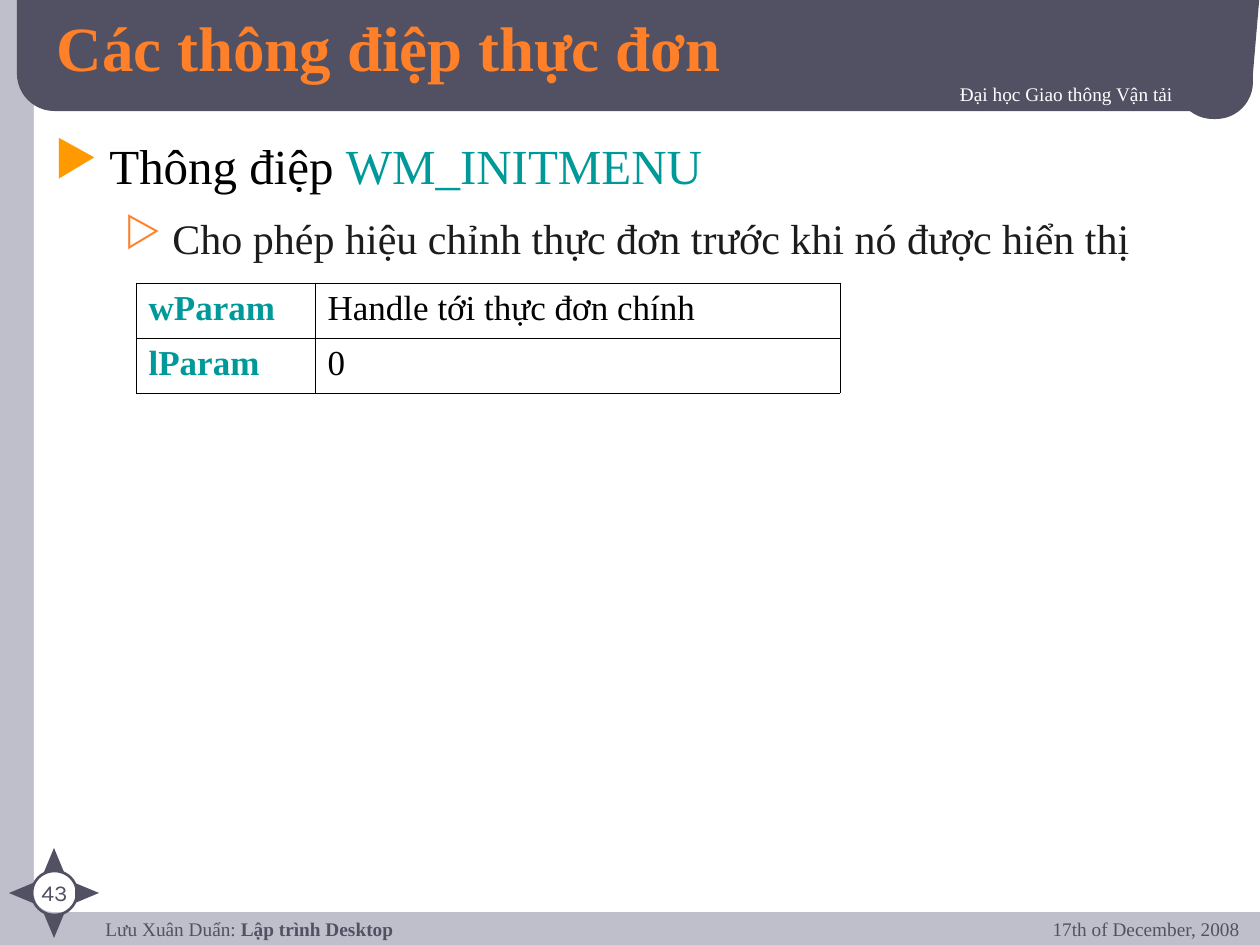
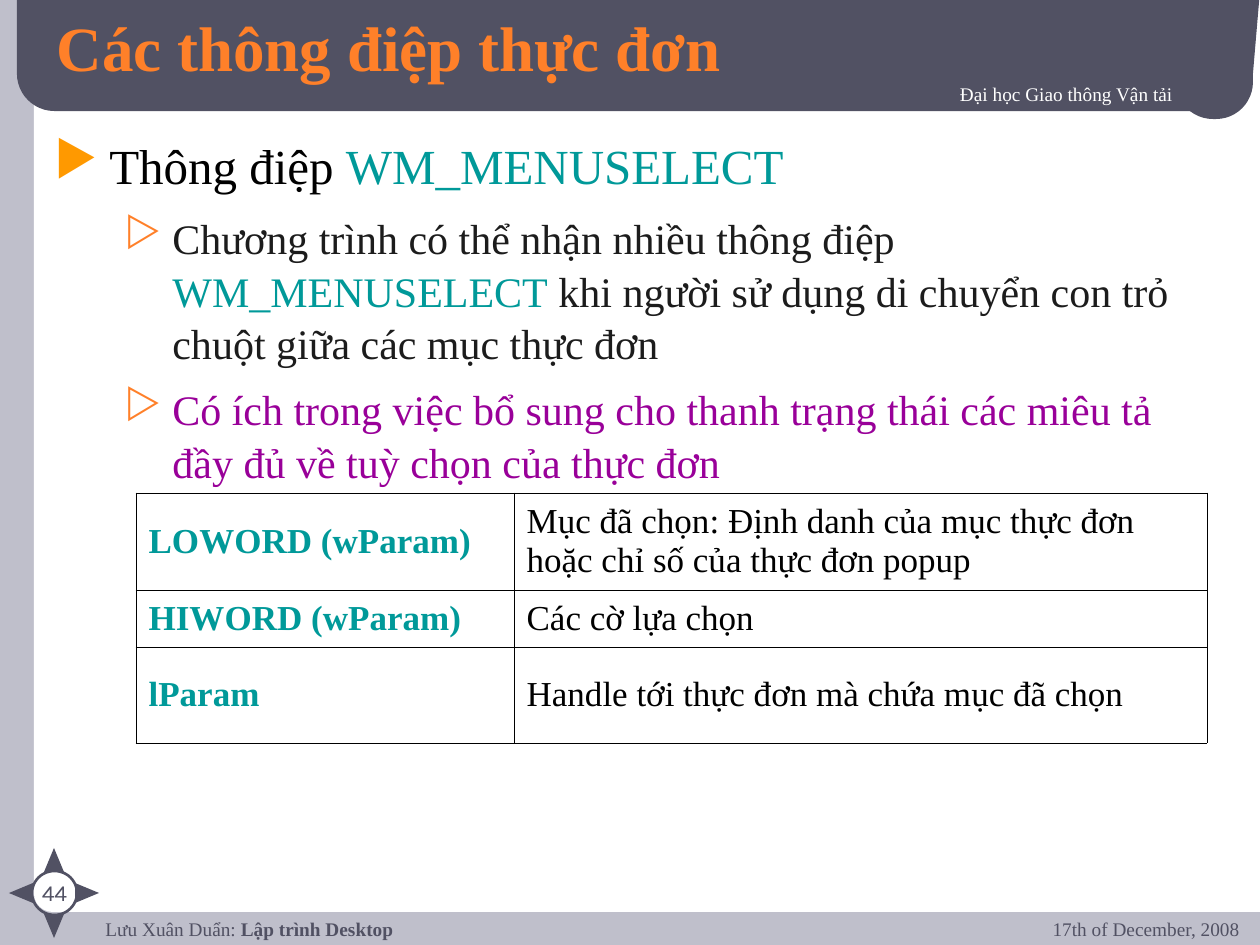
"""Build two slides on menu messages, with a shared frame."""
from dataclasses import dataclass

from lxml.etree import SubElement
from pptx import Presentation
from pptx.dml.color import RGBColor
from pptx.enum.shapes import MSO_SHAPE
from pptx.enum.text import MSO_ANCHOR, PP_ALIGN
from pptx.oxml import parse_xml
from pptx.oxml.ns import nsdecls, qn
from pptx.util import Pt

SCALE = 914400 / 126
TITLE = "Các thông điệp thực đơn"
SCHOOL = "Đại học Giao thông Vận tải"
AUTHOR = "Lưu Xuân Duẩn: "
COURSE = "Lập trình Desktop"
DATE = "17th of December, 2008"


@dataclass(frozen=True)
class Theme:
    """Colours, fonts and type sizes of the deck."""
    back: str = "BFBFCB"
    page: str = "FFFFFF"
    band: str = "515163"
    title: str = "FF8029"
    arrow: str = "FF9900"
    code: str = "009999"
    ink: str = "000000"
    body: str = "1C1C1C"
    note: str = "990099"
    serif: str = "Times New Roman"
    sans: str = "Karla"
    head: int = 36
    lead: int = 28
    point: int = 24
    cell: int = 20
    num: int = 13
    foot: int = 11
    edge: float = 0.45


LOOK = Theme()


def px(num):
    """Turn px into EMU."""
    return round(num * SCALE)


def tint(code):
    """Turn a hex code into a colour."""
    return RGBColor.from_string(code)


class Deck:
    """Hold the style and the current slide, and draw on it."""

    def __init__(self, look):
        """Start an empty deck."""
        self.look = look
        self.show = Presentation()
        self.show.slide_width, self.show.slide_height = px(1260), px(945)
        self.slide = None

    def start(self):
        """Add a title-only slide with the plain background."""
        self.slide = self.show.slides.add_slide(self.show.slide_layouts[5])
        fill = self.slide.background.fill
        fill.solid()
        fill.fore_color.rgb = tint(self.look.back)

    def shape(self, kind, box, fill=None, line=None, turn=0, flip=False, round_by=None):
        """Draw a preset shape."""
        item = self.slide.shapes.add_shape(kind, *map(px, box))
        item.shadow.inherit = False
        item.rotation = turn
        if flip:
            item._element.spPr.xfrm.set("flipH", "1")
        if round_by is not None:
            item.adjustments[0] = round_by
        if fill:
            item.fill.solid()
            item.fill.fore_color.rgb = tint(fill)
        else:
            item.fill.background()
        if line:
            item.line.color.rgb = tint(line)
            item.line.width = Pt(1.5)
        else:
            item.line.fill.background()

    def style(self, para, parts, size, font=None):
        """Fill a paragraph with (text, colour, bold) parts."""
        para.text = parts[0][0]
        for text, *_ in parts[1:]:
            para.add_run().text = text
        for run, (_, hue, bold) in zip(para.runs, parts):
            run.font.size = Pt(size)
            run.font.bold = bold
            run.font.name = font or self.look.serif
            run.font.color.rgb = tint(hue)

    def shade(self, para):
        """Give the text of a paragraph a small drop shadow."""
        for run in para.runs:
            run.font._element.find(qn("a:latin")).addprevious(parse_xml(
                f'<a:effectLst {nsdecls("a")}><a:outerShdw dist="17961" dir="2700000">'
                '<a:srgbClr val="000000"/></a:outerShdw></a:effectLst>'))

    def frame(self, box):
        """Add a wrapping text box."""
        frame = self.slide.shapes.add_textbox(*map(px, box)).text_frame
        frame.word_wrap = True
        return frame

    def label(self, box, parts, size, align=PP_ALIGN.LEFT, font=None, pad=6):
        """Set one line of text."""
        frame = self.frame(box)
        frame.margin_top = frame.margin_bottom = px(pad)
        para = frame.paragraphs[0]
        para.alignment = align
        self.style(para, parts, size, font)
        return para

    def title(self, text):
        """Place the title in front of the band."""
        item = self.slide.shapes.title
        item.left, item.top, item.width, item.height = map(px, (44, 10, 1053, 72))
        self.slide.shapes._spTree.append(item._element)
        frame = item.text_frame
        frame.vertical_anchor = MSO_ANCHOR.MIDDLE
        para = frame.paragraphs[0]
        para.alignment = PP_ALIGN.LEFT
        self.style(para, [(text, self.look.title, True)], self.look.head)
        self.shade(para)

    def bullet(self, para, level):
        """Set the mark and indents of a list level."""
        mark, hue, left, hang = (("▶", self.look.arrow, 55, 55),
                                 ("▷", self.look.title, 118, 48))[level]
        para.level = level
        prop = para._p.get_or_add_pPr()
        prop.set("marL", str(px(left)))
        prop.set("indent", str(-px(hang)))
        SubElement(SubElement(prop, qn("a:buClr")), qn("a:srgbClr")).set("val", hue)
        SubElement(prop, qn("a:buChar")).set("char", mark)

    def points(self, box, lead, subs):
        """Set a lead line and the points below it."""
        frame = self.frame(box)
        for rank, parts in enumerate([lead, *subs]):
            para = frame.add_paragraph() if rank else frame.paragraphs[0]
            self.bullet(para, min(rank, 1))
            para.line_spacing = 1.05
            if rank:
                para.space_before = Pt(9 if rank == 1 else 7.5)
            self.style(para, parts, self.look.point if rank else self.look.lead)

    def cell(self, cell, text, key, anchor):
        """Fill one cell and rule its four sides."""
        cell.fill.background()
        cell.vertical_anchor = anchor
        hue = self.look.code if key else self.look.ink
        self.style(cell.text_frame.paragraphs[0], [(text, hue, key)], self.look.cell)
        prop = cell._tc.get_or_add_tcPr()
        for spot, side in enumerate("LRTB"):
            prop.insert(spot, parse_xml(
                f'<a:ln{side} {nsdecls("a")} w="{Pt(self.look.edge)}"><a:solidFill>'
                f'<a:srgbClr val="{self.look.ink}"/></a:solidFill></a:ln{side}>'))

    def table(self, top, cols, rows, data, anchor):
        """Draw a ruled table with a bold first column."""
        grid = self.slide.shapes.add_table(
            len(rows), len(cols), *map(px, (136, top, sum(cols), sum(rows)))).table
        grid.first_row = grid.horz_banding = False
        for col, wide in zip(grid.columns, cols):
            col.width = px(wide)
        for row, high, texts in zip(grid.rows, rows, data):
            row.height = px(high)
            for spot, (cell, text) in enumerate(zip(row.cells, texts)):
                self.cell(cell, text, spot == 0, anchor)

    def compass(self, num):
        """Draw the page number inside a four-point compass."""
        band = self.look.band
        self.label((18, 873, 73, 28), [(str(num), band, False)], self.look.num,
                   PP_ALIGN.CENTER, self.look.sans)
        self.shape(MSO_SHAPE.OVAL, (32, 871, 45, 44), line=band)
        for turn, way, down in ((0, 0, -1), (90, 1, 0), (180, 0, 1), (270, -1, 0)):
            self.shape(MSO_SHAPE.ISOSCELES_TRIANGLE,
                       (44 + 33 * way, 881 + 33 * down, 20, 24), band, turn=turn)

    def base(self, num):
        """Draw what every slide shares."""
        look = self.look
        bar = MSO_SHAPE.ROUNDED_RECTANGLE
        self.shape(bar, (34, -16, 1261, 928), look.page, round_by=0.02)
        self.shape(bar, (17, -45, 1236, 156), look.band, round_by=0.24)
        self.shape(bar, (1176, 37, 77, 82), look.band, round_by=0.48)
        self.shape(MSO_SHAPE.RIGHT_TRIANGLE, (1252, -10, 8, 94), look.band,
                   turn=180, flip=True)
        self.label((93, 917, 975, 42),
                   [(AUTHOR, look.band, False), (COURSE, look.band, True)],
                   look.foot, pad=0)
        self.compass(num)
        self.shade(self.label((382, 76, 803, 48), [(SCHOOL, look.page, False)],
                              look.foot, PP_ALIGN.RIGHT))
        self.label((948, 911, 304, 53), [(DATE, look.band, False)],
                   look.foot, PP_ALIGN.RIGHT)
        self.title(TITLE)

    def topic(self, num, name, box, subs):
        """Start a slide about one message."""
        self.start()
        self.base(num)
        lead = [("Thông điệp ", self.look.ink, False), (name, self.look.code, False)]
        self.points(box, lead, subs)


def main():
    """Build and save the deck."""
    deck = Deck(LOOK)
    deck.topic(43, "WM_INITMENU", (42, 126, 1163, 270), [
        [("Cho phép hiệu chỉnh thực đơn trước khi nó được hiển thị", LOOK.body, False)]])
    deck.table(283, (179, 525), (55, 55), (
        ("wParam", "Handle tới thực đơn chính"),
        ("lParam", "0")), MSO_ANCHOR.TOP)

    deck.topic(44, "WM_MENUSELECT", (42, 126, 1187, 353), [
        [("Chương trình có thể nhận nhiều thông điệp ", LOOK.body, False),
         ("WM_MENUSELECT", LOOK.code, False),
         (" khi người sử dụng di chuyển con trỏ chuột giữa các mục thực đơn",
          LOOK.body, False)],
        [("Có ích trong việc bổ sung cho thanh trạng thái các miêu tả "
          "đầy đủ về tuỳ chọn của thực đơn", LOOK.note, False)]])
    deck.table(493, (378, 693), (97, 57, 96), (
        ("LOWORD (wParam)",
         "Mục đã chọn: Định danh của mục thực đơn hoặc chỉ số của thực đơn popup"),
        ("HIWORD (wParam)", "Các cờ lựa chọn"),
        ("lParam", "Handle tới thực đơn mà chứa mục đã chọn")), MSO_ANCHOR.MIDDLE)
    deck.show.save("out.pptx")


if __name__ == "__main__":
    main()
